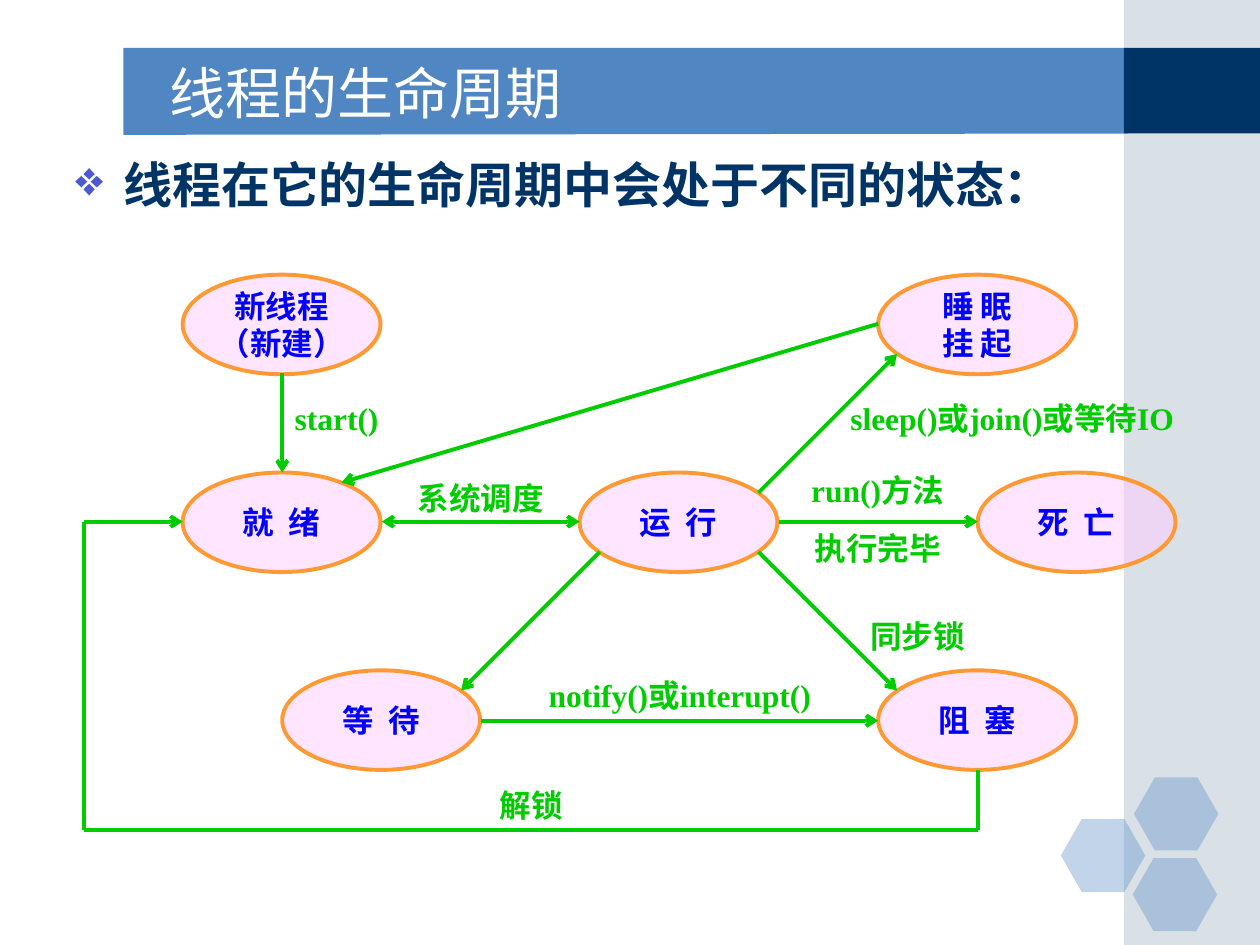
from lxml import etree
from pptx import Presentation
from pptx.dml.color import RGBColor
from pptx.enum import shapes, text
from pptx.oxml import ns
from pptx.util import Inches, Pt

THEME = {
    "band": "5086C2", "navy": "003366", "side": "A0B5C4", "white": "FFFFFF",
    "bullet": "4C59D2", "state": "FFCCFF", "rim": "FF9933",
    "state_text": "0000FF", "flow": "00CC00",
    "title_size": 32, "lead_size": 28, "label_size": 18, "stroke": 2.24,
    "heading_font": "DejaVu Sans", "state_font": "Courier New",
    "flow_font": "Times New Roman",
}
LEFT, CENTER = text.PP_ALIGN.LEFT, text.PP_ALIGN.CENTER
OVAL, RECT, HEX = (shapes.MSO_SHAPE.OVAL, shapes.MSO_SHAPE.RECTANGLE,
                   shapes.MSO_SHAPE.HEXAGON)

prs = Presentation()
prs.slide_width, prs.slide_height = Inches(10), Inches(7.5)
slide = prs.slides.add_slide(prs.slide_layouts[6])


def paint(shape, color, opacity=100, rim=None):
    shape.shadow.inherit = False
    shape.fill.solid()
    shape.fill.fore_color.rgb = RGBColor.from_string(THEME[color])
    if opacity < 100:
        tint = shape.fill._xPr.find(".//" + ns.qn("a:srgbClr"))
        etree.SubElement(tint, ns.qn("a:alpha"), val=str(opacity * 1000))
    if rim:
        shape.line.color.rgb = RGBColor.from_string(THEME[rim])
        shape.line.width = Pt(THEME["stroke"])
    else:
        shape.line.fill.background()


def write(shape, words, *, size, font, color, bold=True, align=LEFT,
          before=0, anchor=text.MSO_ANCHOR.TOP, wrap=True):
    frame = shape.text_frame
    frame.word_wrap, frame.vertical_anchor = wrap, anchor
    frame.text = words
    for paragraph in frame.paragraphs:
        paragraph.alignment, paragraph.space_before = align, Pt(before)
        face = paragraph.runs[0].font
        face.name, face.size, face.bold = THEME[font], Pt(THEME[size]), bold
        face.color.rgb = RGBColor.from_string(THEME[color])
    return frame


# Title band and side strip
outline = slide.shapes.build_freeform(Inches(0.98), Inches(0.38))
outline.add_line_segments([(Inches(8.95), Inches(0.38)), (Inches(8.95), Inches(1.06)),
                           (Inches(0.98), Inches(1.07))], close=True)
paint(outline.convert_to_shape(), "band")
for top, height, color, opacity in [(0, 7.5, "side", 40), (0.38, 0.68, "navy", 100)]:
    strip = slide.shapes.add_shape(RECT, Inches(8.92), Inches(top), Inches(1.08), Inches(height))
    paint(strip, color, opacity)

# Corner hexagons
for left, top in [(8.42, 6.5), (9, 6.17), (8.99, 6.81)]:
    hexagon = slide.shapes.add_shape(HEX, Inches(left), Inches(top), Inches(0.67), Inches(0.58))
    hexagon.adjustments[0] = 0.286
    paint(hexagon, "band", 35)

# Title and lead sentence
title = slide.shapes.add_textbox(Inches(1.25), Inches(0.42), Inches(7.33), Inches(0.62))
write(title, "线程的生命周期", size="title_size", font="heading_font", color="white",
      bold=False, anchor=text.MSO_ANCHOR.MIDDLE)
lead = slide.shapes.add_textbox(Inches(0.5), Inches(1.18), Inches(9), Inches(5.74))
lead_frame = write(lead, "线程在它的生命周期中会处于不同的状态：", size="lead_size",
                   font="heading_font", color="navy", before=7)
lead_props = lead_frame.paragraphs[0]._p.get_or_add_pPr()
lead_props.set("marL", str(Inches(0.38)))
lead_props.set("indent", str(-Inches(0.38)))
bullet_color = etree.SubElement(lead_props, ns.qn("a:buClr"))
etree.SubElement(bullet_color, ns.qn("a:srgbClr"), val=THEME["bullet"])
etree.SubElement(lead_props, ns.qn("a:buChar"), char="❖")

# Thread states
STATE_W, STATE_H = 1.57, 0.79
ROW_1, ROW_2, ROW_3 = (2.18 + 1.57 * row for row in range(3))
states = [
    ("新线程\n（新建）", 1.45, ROW_1), ("睡 眠\n挂 起", 6.97, ROW_1),
    ("就  绪", 1.45, ROW_2), ("运  行", 4.6, ROW_2), ("死  亡", 7.76, ROW_2),
    ("等  待", 2.24, ROW_3), ("阻  塞", 6.97, ROW_3),
]
for name, left, top in states:
    state = slide.shapes.add_shape(OVAL, Inches(left), Inches(top),
                                   Inches(STATE_W), Inches(STATE_H))
    paint(state, "state", 50, rim="rim")
    write(state, name, size="label_size", font="state_font", color="state_text",
          align=CENTER, anchor=text.MSO_ANCHOR.MIDDLE, wrap=False)

# Transitions: start, end, arrowheads
END, BOTH = ["tailEnd"], ["headEnd", "tailEnd"]
transitions = [
    ((2.24, 2.96), (2.24, 3.75), END),
    ((3.03, 4.14), (4.6, 4.14), BOTH),
    ((6.18, 4.14), (7.76, 4.14), END),
    ((6.02, 3.91), (7.12, 2.81), END),
    ((6.97, 2.57), (2.71, 3.83), END),
    ((6.02, 4.38), (7.12, 5.48), END),
    ((4.76, 4.38), (3.66, 5.48), END),
    ((3.82, 5.72), (6.97, 5.72), END),
    ((7.76, 6.11), (7.76, 6.59), []),
    ((7.76, 6.59), (0.67, 6.59), []),
    ((0.67, 6.59), (0.67, 4.14), []),
    ((0.67, 4.14), (1.45, 4.14), END),
]
for start, end, heads in transitions:
    transition = slide.shapes.add_connector(shapes.MSO_CONNECTOR.STRAIGHT,
                                            *map(Inches, start + end))
    transition.line.color.rgb = RGBColor.from_string(THEME["flow"])
    transition.line.width = Pt(THEME["stroke"])
    for head in heads:
        etree.SubElement(transition.line._get_or_add_ln(), ns.qn("a:" + head), type="arrow")
    etree.SubElement(transition._element.spPr, ns.qn("a:effectLst"))

# Transition labels
labels = [
    ("start()", 2.24, 3.12, 1.57, 0.4, LEFT),
    ("系统调度", 3.03, 3.75, 1.57, 0.4, CENTER),
    ("run()方法\n执行完毕", 6.18, 3.69, 1.57, 0.86, CENTER),
    ("sleep()或join()或等待IO", 6.65, 3.12, 3.15, 0.4, LEFT),
    ("同步锁", 6.81, 4.85, 1.57, 0.4, LEFT),
    ("notify()或interupt()", 3.82, 5.32, 3.15, 0.4, CENTER),
    ("解锁", 3.43, 6.19, 1.57, 0.4, CENTER),
]
for words, left, top, width, height, align in labels:
    label = slide.shapes.add_textbox(Inches(left), Inches(top), Inches(width), Inches(height))
    write(label, words, size="label_size", font="flow_font", color="flow",
          align=align, before=11.2)

prs.save("out.pptx")
